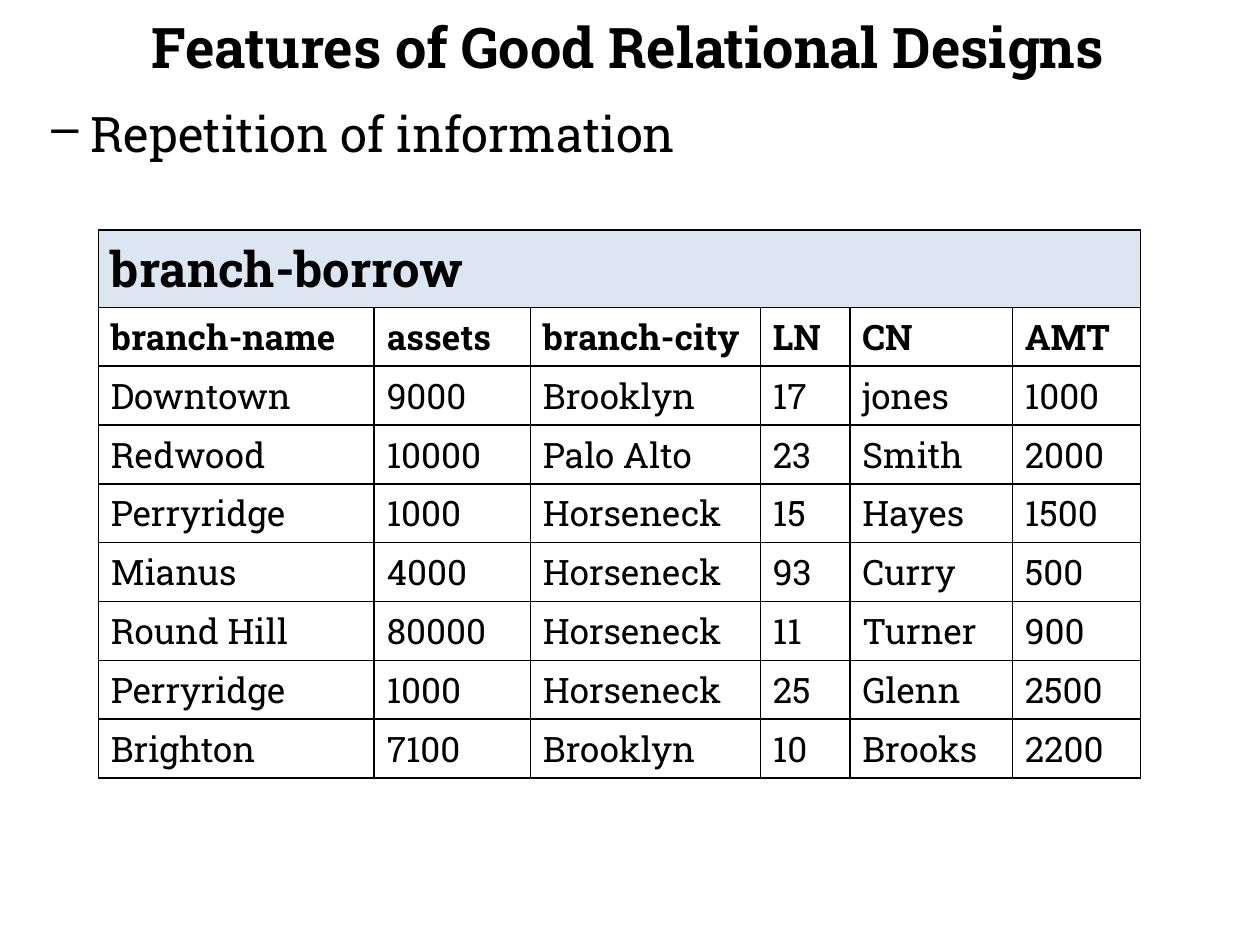
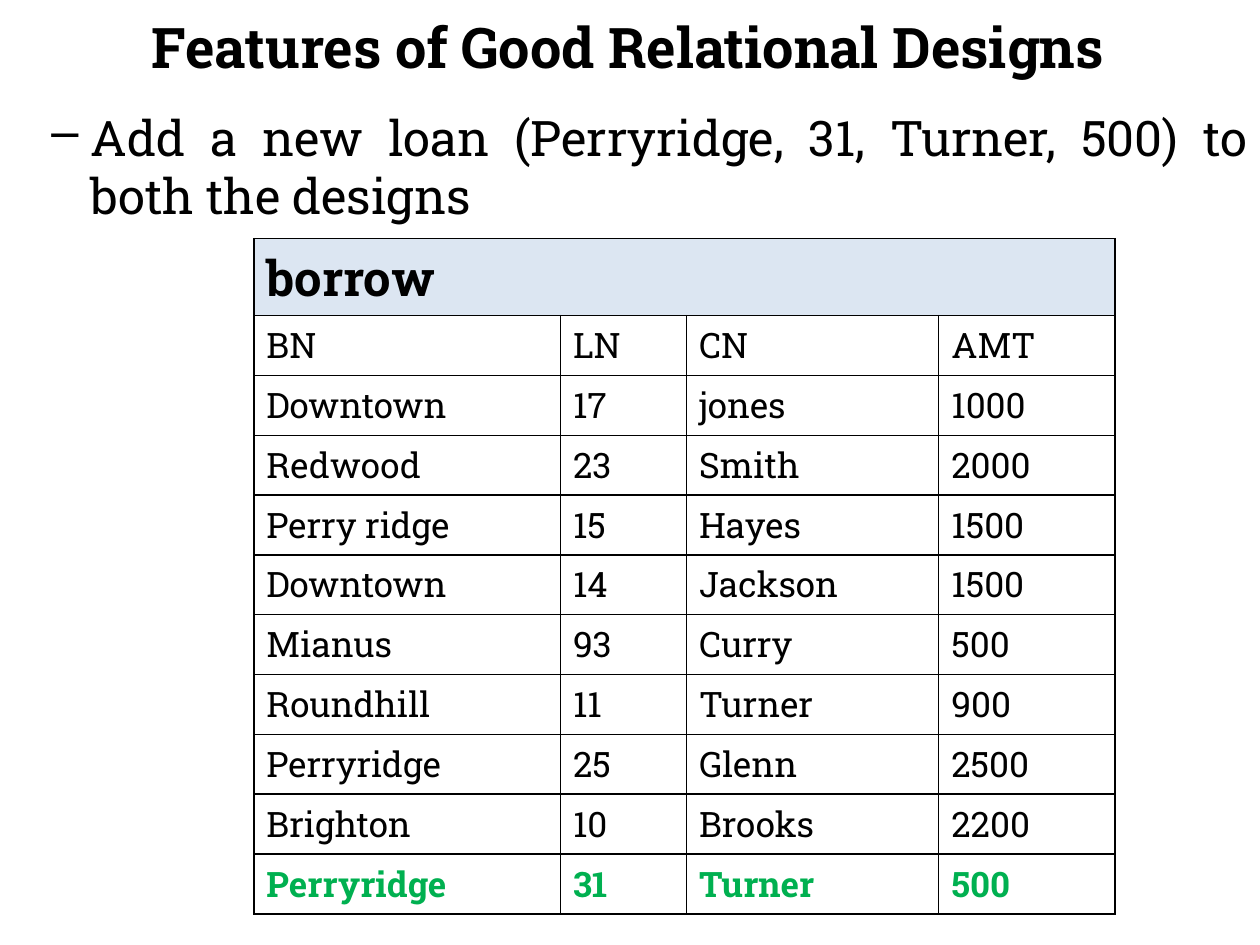
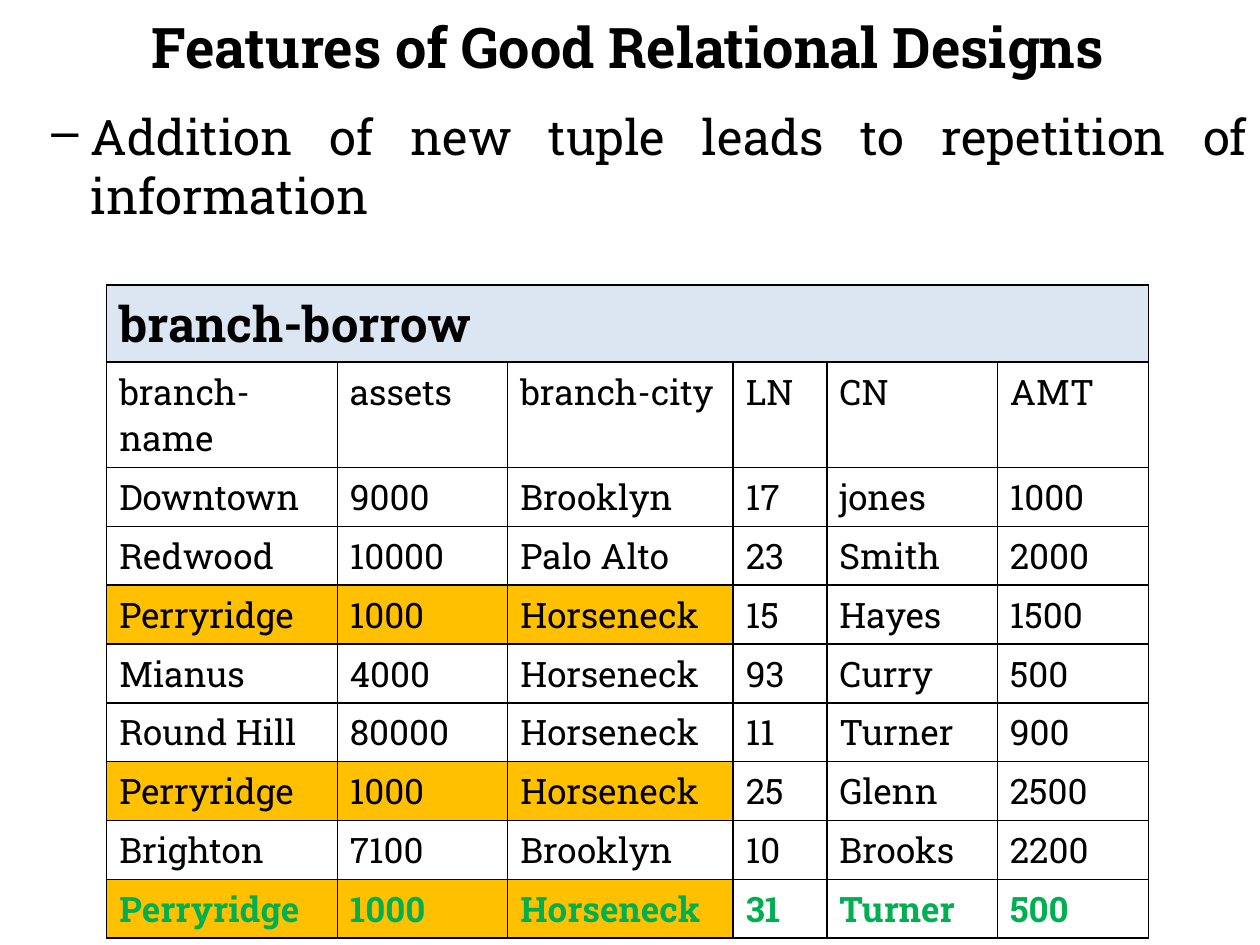
import dataclasses

import lxml.etree
import pptx
import pptx.dml.color
import pptx.enum.text
import pptx.oxml.ns
import pptx.util

# Page grid: 100 columns by 75 rows of square units
SLIDE_WIDTH = pptx.util.Inches(10)
SLIDE_HEIGHT = pptx.util.Inches(7.5)
UNIT = SLIDE_WIDTH // 100

FONT = "Roboto Slab"
COLORS = {
    "ink": "000000",
    "paper": "FFFFFF",
    "caption": "DCE6F2",
    "repeated": "FFC000",
    "added": "00B050",
}
TITLE = "Features of Good Relational Designs"
TITLE_SIZE, TEXT_SIZE, CELL_SIZE = 32, 28, 20
HANGING = 3.1
CAPTION_ROW = 6.12


@dataclasses.dataclass
class Area:
    left: float
    top: float
    width: float
    height: float

    def lengths(self) -> list[int]:
        return [grid(n) for n in (self.left, self.top, self.width, self.height)]


@dataclasses.dataclass
class Relation:
    name: str
    left: float
    top: float
    columns: list[float]
    heading_height: float
    row_height: float
    rows: list[str]
    bold_heading: bool = False
    added_row: bool = False
    repeated_key: str = ""
    repeated_columns: int = 0


@dataclasses.dataclass
class Lesson:
    point: str
    point_area: Area
    relation: Relation


# Content
BRANCH_BORROW = [
    "branch-name|assets|branch-city|LN|CN|AMT",
    "Downtown|9000|Brooklyn|17|jones|1000",
    "Redwood|10000|Palo Alto|23|Smith|2000",
    "Perryridge|1000|Horseneck|15|Hayes|1500",
    "Mianus|4000|Horseneck|93|Curry|500",
    "Round Hill|80000|Horseneck|11|Turner|900",
    "Perryridge|1000|Horseneck|25|Glenn|2500",
    "Brighton|7100|Brooklyn|10|Brooks|2200",
]
BORROW = [
    "BN|LN|CN|AMT",
    "Downtown|17|jones|1000",
    "Redwood|23|Smith|2000",
    "Perry ridge|15|Hayes|1500",
    "Downtown|14|Jackson|1500",
    "Mianus|93|Curry|500",
    "Roundhill|11|Turner|900",
    "Perryridge|25|Glenn|2500",
    "Brighton|10|Brooks|2200",
    "Perryridge|31|Turner|500",
]
LESSONS = [
    Lesson(
        "Repetition of information",
        Area(3.1, 7.7, 92.3, 60.2),
        Relation("branch-borrow", 7.8, 18.27, [21.9, 12.4, 18.25, 7.1, 12.9, 10.2],
                 4.67, 4.67, BRANCH_BORROW, bold_heading=True),
    ),
    Lesson(
        "Add a new loan (Perryridge, 31, Turner, 500) to both the designs",
        Area(3.1, 8, 96.9, 60.2),
        Relation("borrow", 20.15, 18.93, [24.33, 10, 20.03, 14],
                 4.75, 4.75, BORROW, added_row=True),
    ),
    Lesson(
        "Addition of new tuple leads to repetition of information",
        Area(3.1, 8, 96.9, 63.3),
        Relation("branch-borrow", 8.47, 22.62, [18.3, 13.53, 17.9, 7.43, 13.53, 12],
                 8.37, 4.67, BRANCH_BORROW + ["Perryridge|1000|Horseneck|31|Turner|500"],
                 added_row=True, repeated_key="Perryridge", repeated_columns=3),
    ),
]


def grid(units: float) -> int:
    return round(units * UNIT)


def color(name: str) -> pptx.dml.color.RGBColor:
    return pptx.dml.color.RGBColor.from_string(COLORS[name])


def write(frame, text: str, size: float, bold: bool = False, ink: str = "ink"):
    """Fill a text frame with one formatted paragraph and return it."""
    frame.word_wrap = True
    frame.text = text
    para = frame.paragraphs[0]
    for span in para.runs:
        span.font.name = FONT
        span.font.size = pptx.util.Pt(size)
        span.font.bold = bold
        span.font.color.rgb = color(ink)
    return para


def add_title(page) -> None:
    box = page.shapes.add_textbox(*Area(4.85, 0, 90, 7.3).lengths())
    box.text_frame.vertical_anchor = pptx.enum.text.MSO_ANCHOR.MIDDLE
    para = write(box.text_frame, TITLE, TITLE_SIZE, bold=True)
    para.alignment = pptx.enum.text.PP_ALIGN.CENTER


def add_point(page, text: str, area: Area) -> None:
    box = page.shapes.add_textbox(*area.lengths())
    para = write(box.text_frame, text, TEXT_SIZE)
    para.alignment = pptx.enum.text.PP_ALIGN.JUSTIFY
    para.space_before = pptx.util.Pt(TEXT_SIZE * 0.2)
    # Dash bullet with a hanging indent
    props = para._p.get_or_add_pPr()
    props.set("marL", str(grid(HANGING)))
    props.set("indent", str(-grid(HANGING)))
    bullet = lxml.etree.SubElement(props, pptx.oxml.ns.qn("a:buChar"))
    bullet.set("char", "–")


def add_borders(cell) -> None:
    props = cell._tc.get_or_add_tcPr()
    for position, side in enumerate(("lnL", "lnR", "lnT", "lnB")):
        line = lxml.etree.Element(pptx.oxml.ns.qn(f"a:{side}"), w=str(pptx.util.Pt(1)))
        fill = lxml.etree.SubElement(line, pptx.oxml.ns.qn("a:solidFill"))
        lxml.etree.SubElement(fill, pptx.oxml.ns.qn("a:srgbClr"), val=COLORS["ink"])
        props.insert(position, line)


def paint(cell, fill: str) -> None:
    cell.fill.solid()
    cell.fill.fore_color.rgb = color(fill)
    add_borders(cell)


def add_relation(page, relation: Relation) -> None:
    tuple_count = len(relation.rows) - 1
    heights = [CAPTION_ROW, relation.heading_height] + [relation.row_height] * tuple_count
    area = Area(relation.left, relation.top, sum(relation.columns), sum(heights))
    table = page.shapes.add_table(
        len(heights), len(relation.columns), *area.lengths()).table
    table.first_row = table.horz_banding = False
    for column, width in zip(table.columns, relation.columns):
        column.width = grid(width)
    for row, height in zip(table.rows, heights):
        row.height = grid(height)

    # Caption across the full width
    caption = table.cell(0, 0)
    caption.merge(table.cell(0, len(relation.columns) - 1))
    for cell in table.rows[0].cells:
        paint(cell, "caption")
    write(caption.text_frame, relation.name, TEXT_SIZE, bold=True)

    # Heading and tuples
    for row_number, record in enumerate(relation.rows, start=1):
        values = record.split("|")
        added = relation.added_row and row_number == len(relation.rows)
        bold = added or (relation.bold_heading and row_number == 1)
        for column_number, value in enumerate(values):
            cell = table.cell(row_number, column_number)
            repeated = (values[0] == relation.repeated_key
                        and column_number < relation.repeated_columns)
            paint(cell, "repeated" if repeated else "paper")
            write(cell.text_frame, value, CELL_SIZE, bold, "added" if added else "ink")


def main() -> None:
    deck = pptx.Presentation()
    deck.slide_width, deck.slide_height = SLIDE_WIDTH, SLIDE_HEIGHT
    for lesson in LESSONS:
        page = deck.slides.add_slide(deck.slide_layouts[6])
        add_title(page)
        add_point(page, lesson.point, lesson.point_area)
        add_relation(page, lesson.relation)
    deck.save("out.pptx")


if __name__ == "__main__":
    main()
